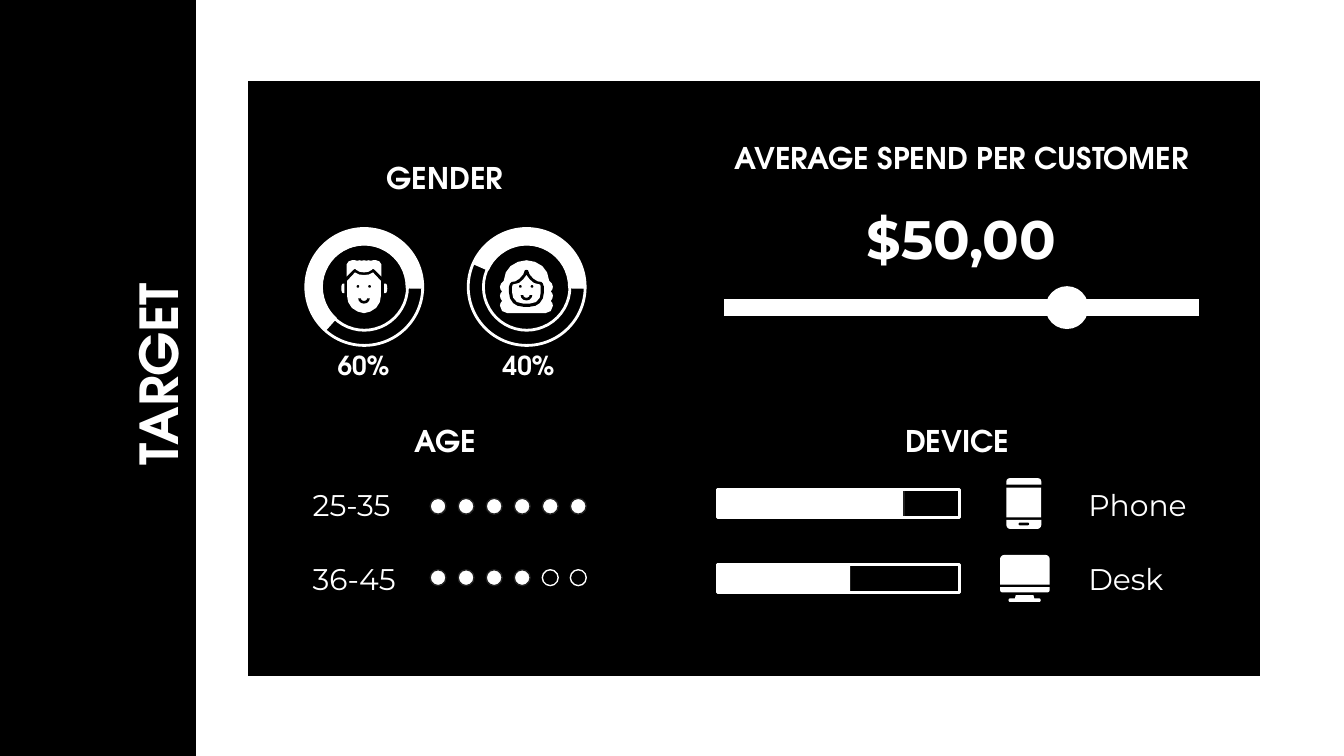
"""Build the target audience slide with gender, age, spend and device figures."""
import pptx
import pptx.dml.color
import pptx.enum.shapes
import pptx.enum.text
import pptx.oxml.ns
import pptx.util
from lxml import etree

Cm = pptx.util.Cm
Pt = pptx.util.Pt
KIND = pptx.enum.shapes.MSO_SHAPE
ALIGN = pptx.enum.text.PP_ALIGN
ANCHOR = pptx.enum.text.MSO_ANCHOR
COLORS = {"black": "000000", "white": "FFFFFF", "dark": "212121"}
HEADING, BODY = "TeX Gyre Adventor", "Montserrat"


def paint(shape, fill=None, line=None, weight=0.75):
    shape.shadow.inherit = False
    if fill:
        shape.fill.solid()
        shape.fill.fore_color.rgb = pptx.dml.color.RGBColor.from_string(COLORS[fill])
    else:
        shape.fill.background()
    if line:
        shape.line.color.rgb = pptx.dml.color.RGBColor.from_string(COLORS[line])
        shape.line.width = Pt(weight)
    else:
        shape.line.fill.background()
    return shape


def write(box, words, size, font=HEADING, bold=True, align=ALIGN.CENTER, anchor=ANCHOR.MIDDLE):
    frame = box.text_frame
    frame.word_wrap = True
    frame.auto_size = pptx.enum.text.MSO_AUTO_SIZE.NONE
    frame.vertical_anchor = anchor
    frame.margin_left = frame.margin_right = frame.margin_top = frame.margin_bottom = Cm(0.25)
    frame.paragraphs[0].alignment = align
    run = frame.paragraphs[0].add_run()
    run.text = words
    run.font.name, run.font.size, run.font.bold = font, Pt(size), bold
    run.font.color.rgb = pptx.dml.color.RGBColor.from_string(COLORS["white"])


deck = pptx.Presentation()
deck.slide_width, deck.slide_height = Cm(25.4), Cm(14.29)
slide = deck.slides.add_slide(deck.slide_layouts[5])
shapes = slide.shapes

title = shapes.title
title.left, title.top, title.width, title.height = Cm(-2.18), Cm(5.79), Cm(11.2), Cm(2.57)
title.rotation = 270
write(title, "TARGET", 28, anchor=ANCHOR.TOP)
sidebar = shapes.add_shape(KIND.RECTANGLE, Cm(-0.3), Cm(-0.1), Cm(4.04), Cm(14.6))
paint(sidebar, "black", "white", 1.5)
title.element.addprevious(sidebar.element)
panel = shapes.add_shape(KIND.RECTANGLE, Cm(4.67), Cm(1.5), Cm(19.18), Cm(11.3))
paint(panel, "black", "white", 1.5)

for words, size, font, left, top, width, height in [
    ("GENDER", 16, HEADING, 6.86, 2.92, 3.1, 0.86),
    ("AGE", 16, HEADING, 6.86, 7.9, 3.1, 0.86),
    ("DEVICE", 16, HEADING, 16.54, 7.9, 3.1, 0.86),
    ("AVERAGE SPEND PER CUSTOMER", 16, HEADING, 13.31, 2.26, 9.73, 1.45),
    ("$50,00", 29, BODY, 13.31, 3.78, 9.73, 1.45),
    ("60%", 14, HEADING, 5.74, 6.48, 2.26, 0.86),
    ("40%", 14, HEADING, 8.86, 6.48, 2.26, 0.86),
]:
    write(shapes.add_textbox(Cm(left), Cm(top), Cm(width), Cm(height)), words, size, font)

man_hair = [(0, -50), (5, -49), (8, -50), (13, -49), (17, -50), (23, -50), (29, -48), (33, -42),
            (33, -19), (20, -32), (17, -34), (15, -32), (8, -28), (0, -27)]
man_face = [(0, -22), (9, -23), (17, -27), (32, -11), (32, 17), (30, 29), (23, 40), (12, 47), (0, 50)]
woman_hair = [(0, -50), (16, -47), (30, -39), (39, -27), (43, -11), (48, -6), (50, 0), (49, 5),
              (46, 9), (49, 13), (50, 17), (49, 22), (46, 27), (49, 31), (50, 36), (46, 46),
              (36, 50), (0, 50)]
woman_gap = [(0, -32), (3, -31), (6, -23), (13, -15), (21, -10), (28, -9), (31, -6), (33, 0),
             (33, 11), (31, 22), (25, 31), (17, 36), (6, 38), (0, 38)]
woman_face = [(0, -22), (6, -14), (14, -7), (26, -4), (27, 0), (27, 11), (25, 21), (18, 29),
              (6, 32), (0, 32)]
middle = 5.42
for center, start, smile_top, outlines in [
    (6.88, 79.14, 0.12, [(man_hair, "white"), (man_face, "white")]),
    (9.95, 122.2, 0.06, [(woman_hair, "white"), (woman_gap, "black"), (woman_face, "white")]),
]:
    ring_box = [Cm(center - 1.1), Cm(middle - 1.1), Cm(2.21), Cm(2.21)]
    ring = paint(shapes.add_shape(KIND.DONUT, *ring_box), None, "white", 1.5)
    ring.adjustments[0] = 0.13
    share = paint(shapes.add_shape(KIND.BLOCK_ARC, *ring_box), "white", "white")
    for index, value in enumerate([start, 0.66, 0.14]):
        share.adjustments[index] = value
    for right_half, color in outlines:
        outline = right_half + [(-x, y) for x, y in reversed(right_half[1:-1])]
        points = [(center * 100 + x, middle * 100 + y) for x, y in outline]
        builder = shapes.build_freeform(*points[0], scale=Cm(0.01))
        builder.add_line_segments(points[1:])
        paint(builder.convert_to_shape(), color)
    for side in (-1, 1):
        paint(shapes.add_shape(KIND.OVAL, Cm(center + side * 0.11 - 0.03), Cm(middle - 0.03),
                               Cm(0.05), Cm(0.05)), "black")
    smile = shapes.add_shape(KIND.BLOCK_ARC, Cm(center - 0.11), Cm(middle + smile_top), Cm(0.22), Cm(0.2))
    paint(smile, "black")
    for index, value in enumerate([0, 108, 0.25]):
        smile.adjustments[index] = value

for left, turn in [(6.45, 180), (7.26, 0)]:
    ear = shapes.add_shape(KIND.FLOWCHART_DELAY, Cm(left), Cm(5.36), Cm(0.06), Cm(0.18))
    paint(ear, "white").rotation = turn

track = shapes.add_connector(pptx.enum.shapes.MSO_CONNECTOR.STRAIGHT, Cm(13.69), Cm(5.82), Cm(22.66), Cm(5.82))
track.line.color.rgb = pptx.dml.color.RGBColor.from_string(COLORS["white"])
track.line.width = Pt(9)
etree.SubElement(track.element.spPr, pptx.oxml.ns.qn("a:effectLst"))
paint(shapes.add_shape(KIND.OVAL, Cm(19.76), Cm(5.41), Cm(0.81), Cm(0.81)), "white")

for age, device, label_top, dot_top, filled_dots, bar_top, used in [
    ("25-35", "Phone", 9.09, 9.42, 6, 9.25, 3.53),
    ("36-45", "Desk", 10.49, 10.77, 4, 10.67, 2.51),
]:
    for words, left in [(age, 5.66), (device, 20.32)]:
        label = shapes.add_textbox(Cm(left), Cm(label_top), Cm(2.46), Cm(0.89))
        write(label, words, 16, BODY, False, ALIGN.LEFT)
    for place in range(6):
        dot = shapes.add_shape(KIND.OVAL, Cm(8.13 + place * 0.53), Cm(dot_top), Cm(0.3), Cm(0.3))
        paint(dot, *(("white", "dark") if place < filled_dots else (None, "white")))
    for width, fill, line, weight in [(used, "white", "dark", 0.75), (4.57, None, "white", 1.5)]:
        bar = shapes.add_shape(KIND.RECTANGLE, Cm(13.56), Cm(bar_top), Cm(width), Cm(0.53))
        paint(bar, fill, line, weight)

for kind, left, top, width, height, color, rounding in [
    (KIND.ROUND_2_SAME_RECTANGLE, 19.02, 9.04, 0.66, 0.12, "white", [0.5, 0]),
    (KIND.RECTANGLE, 19.02, 9.22, 0.66, 0.56, "white", []),
    (KIND.ROUND_2_SAME_RECTANGLE, 19.02, 9.83, 0.66, 0.17, "white", [0, 0.45]),
    (KIND.ROUNDED_RECTANGLE, 19.25, 9.88, 0.2, 0.05, "black", [0.5]),
    (KIND.ROUND_2_SAME_RECTANGLE, 18.9, 10.49, 0.94, 0.56, "white", [0.14, 0]),
    (KIND.ROUND_2_SAME_RECTANGLE, 18.9, 11.1, 0.94, 0.1, "white", [0, 0.5]),
    (KIND.TRAPEZOID, 19.18, 11.25, 0.37, 0.07, "white", [0.25]),
    (KIND.ROUNDED_RECTANGLE, 19.06, 11.31, 0.61, 0.07, "white", [0.5]),
]:
    part = paint(shapes.add_shape(kind, Cm(left), Cm(top), Cm(width), Cm(height)), color)
    for index, value in enumerate(rounding):
        part.adjustments[index] = value

deck.save("out.pptx")
